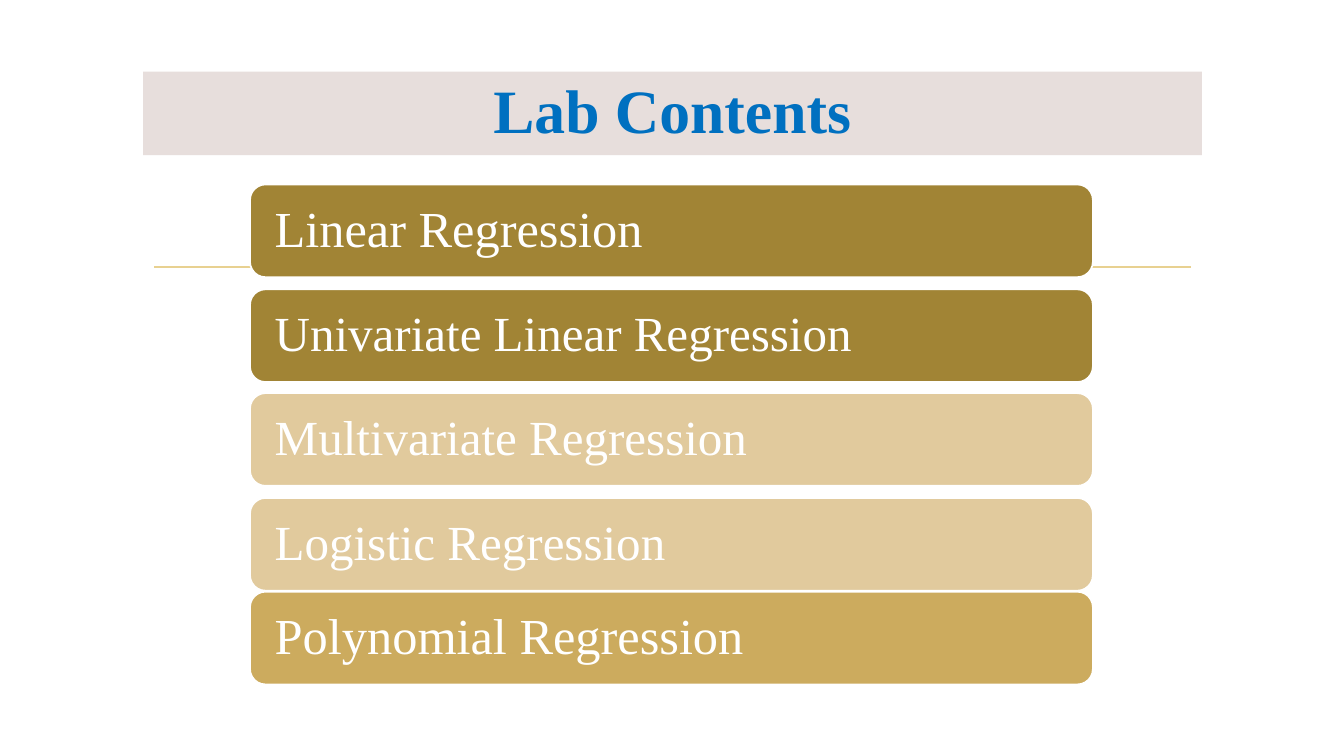
from pptx import Presentation
from pptx.dml.color import RGBColor
from pptx.enum.shapes import MSO_CONNECTOR, MSO_SHAPE
from pptx.enum.text import MSO_ANCHOR, MSO_AUTO_SIZE, PP_ALIGN
from pptx.oxml.ns import qn
from pptx.util import Emu, Pt
from lxml.etree import SubElement

PX = 9144  # EMU per px, 100 px to the inch
COLORS = {
    "white": "FFFFFF",
    "rule": "E8D191",
    "band": "E7DEDC",
    "title": "0070C0",
    "dark": "A18435",
    "pale": "E1CA9D",
    "gold": "CCAB5E",
}
# top, fill, text size, label
TOPICS = [
    (183, "dark", 36, "Linear Regression"),
    (287, "dark", 35, "Univariate Linear Regression"),
    (390, "pale", 35, "Multivariate Regression"),
    (494, "pale", 35, "Logistic Regression"),
    (587, "gold", 36, "Polynomial Regression"),
]


def px(n):
    return Emu(n * PX)


def rgb(name):
    return RGBColor.from_string(COLORS[name])


def apply(target, values):
    for name, value in values.items():
        setattr(target, name, value)


class LabSlide:
    """Holds the slide and the style shared by its elements."""

    font = "Times New Roman"
    line_width = Pt(1.25)

    def __init__(self, prs):
        self.slide = prs.slides.add_slide(prs.slide_layouts[5])

    def fill(self, sp, color):
        sp.fill.solid()
        sp.fill.fore_color.rgb = rgb(color)

    def outline(self, sp, color):
        sp.line.color.rgb = rgb(color)
        sp.line.width = self.line_width

    def label(self, sp, text, size, color, align, inset, bold=False):
        tf = sp.text_frame
        apply(tf, {
            "word_wrap": True,
            "auto_size": MSO_AUTO_SIZE.NONE,
            "vertical_anchor": MSO_ANCHOR.MIDDLE,
            "margin_left": px(inset),
            "margin_right": px(inset),
        })
        p = tf.paragraphs[0]
        apply(p, {"alignment": align, "line_spacing": 0.9})
        r = p.add_run()
        r.text = text
        apply(r.font, {"name": self.font, "size": Pt(size), "bold": bold})
        r.font.color.rgb = rgb(color)

    def rule(self, x1, x2, y, color):
        line = self.slide.shapes.add_connector(
            MSO_CONNECTOR.STRAIGHT, px(x1), px(y), px(x2), px(y))
        self.outline(line, color)
        SubElement(line._element.spPr, qn("a:effectLst"))

    def title(self, text, left, top, width, height):
        sp = self.slide.shapes.title
        apply(sp, {"left": px(left), "top": px(top),
                   "width": px(width), "height": px(height)})
        self.fill(sp, "band")
        self.label(sp, text, 44, "title", PP_ALIGN.CENTER, 10, bold=True)

    def bar(self, text, left, top, width, height, color, size):
        sp = self.slide.shapes.add_shape(
            MSO_SHAPE.ROUNDED_RECTANGLE,
            px(left), px(top), px(width), px(height))
        sp.shadow.inherit = False
        self.fill(sp, color)
        self.outline(sp, "white")
        self.label(sp, text, size, "white", PP_ALIGN.LEFT, 20)


def main():
    prs = Presentation()
    prs.slide_width, prs.slide_height = px(1333), px(750)
    s = LabSlide(prs)
    s.rule(153, 1181, 265, "rule")
    s.title("Lab Contents", 142, 71, 1050, 83)
    for top, color, size, topic in TOPICS:
        s.bar(topic, 248, top, 836, 92, color, size)
    prs.save("out.pptx")


if __name__ == "__main__":
    main()
